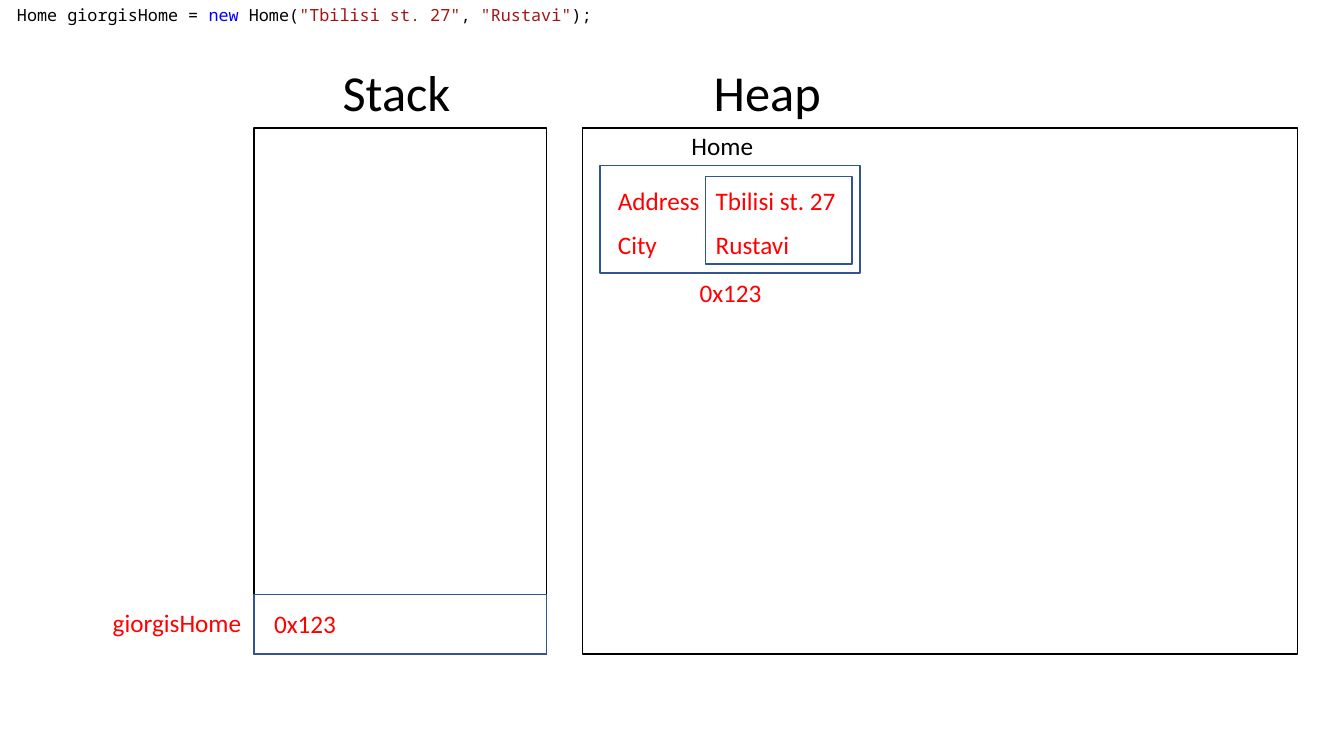
"""Build the slide showing a Home object on the stack and the heap."""
from pptx import Presentation
from pptx.dml.color import RGBColor
from pptx.enum.shapes import MSO_SHAPE
from pptx.enum.text import MSO_AUTO_SIZE
from pptx.util import Inches, Pt

BLACK = RGBColor(0x00, 0x00, 0x00)
WHITE = RGBColor(0xFF, 0xFF, 0xFF)
RED = RGBColor(0xFF, 0x00, 0x00)
BLUE = RGBColor(0x00, 0x00, 0xFF)
BROWN = RGBColor(0xA3, 0x15, 0x15)
NAVY = RGBColor(0x32, 0x54, 0x91)

HEADING = {"name": "Calibri", "size": Pt(36)}
LABEL = {"name": "Calibri", "size": Pt(18)}
CODE = {"name": "Noto Sans Mono", "size": Pt(12)}

presentation = Presentation()
presentation.slide_width = Inches(13.33)
presentation.slide_height = Inches(7.5)
slide = presentation.slides.add_slide(presentation.slide_layouts[6])


def add_memory_block(left, top, width, height, outline):
    block = slide.shapes.add_shape(
        MSO_SHAPE.RECTANGLE, Inches(left), Inches(top), Inches(width), Inches(height)
    )
    block.shadow.inherit = False
    block.fill.solid()
    block.fill.fore_color.rgb = WHITE
    block.line.color.rgb = outline
    block.line.width = Pt(1)


def add_text(left, top, width, height, pieces, font_format):
    caption = slide.shapes.add_textbox(
        Inches(left), Inches(top), Inches(width), Inches(height)
    )
    frame = caption.text_frame
    for attribute, value in {
        "word_wrap": True,
        "auto_size": MSO_AUTO_SIZE.SHAPE_TO_FIT_TEXT,
    }.items():
        setattr(frame, attribute, value)
    for wording, color in pieces:
        run = frame.paragraphs[0].add_run()
        run.text = wording
        run.font.color.rgb = color
        for attribute, value in font_format.items():
            setattr(run.font, attribute, value)


memory_blocks = [
    (2.52, 1.27, 2.9, 5.22, BLACK),
    (5.78, 1.27, 7.09, 5.22, BLACK),
    (2.52, 5.9, 2.9, 0.59, NAVY),
    (5.95, 1.64, 2.58, 1.07, NAVY),
    (7, 1.75, 1.45, 0.87, NAVY),
]
for left, top, width, height, outline in memory_blocks:
    add_memory_block(left, top, width, height, outline)

for area, left in [("Stack", 3.3), ("Heap", 6.98)]:
    add_text(left, 0.56, 1.33, 0.71, [(area, BLACK)], HEADING)

labels = [
    ("giorgisHome", 1.02, 5.98, 1.5, RED),
    ("0x123", 2.62, 5.99, 1.5, RED),
    ("0x123", 6.84, 2.7, 0.83, RED),
    ("Home", 6.76, 1.24, 1.93, BLACK),
]
home_fields = [("Address", "Tbilisi st. 27"), ("City", "Rustavi")]
for row, (field, content) in enumerate(home_fields):
    field_top = 1.79 + 0.44 * row
    labels.append((field, 6.03, field_top, 1.23, RED))
    labels.append((content, 7, field_top, 1.45, RED))
for wording, left, top, width, color in labels:
    add_text(left, top, width, 0.4, [(wording, color)], LABEL)

statement = [
    ("Home giorgisHome = ", BLACK),
    ("new", BLUE),
    (" Home(", BLACK),
    ('"Tbilisi st. 27"', BROWN),
    (", ", BLACK),
    ('"Rustavi"', BROWN),
    (");", BLACK),
]
add_text(0.07, 0, 6.47, 0.3, statement, CODE)

presentation.save("out.pptx")
